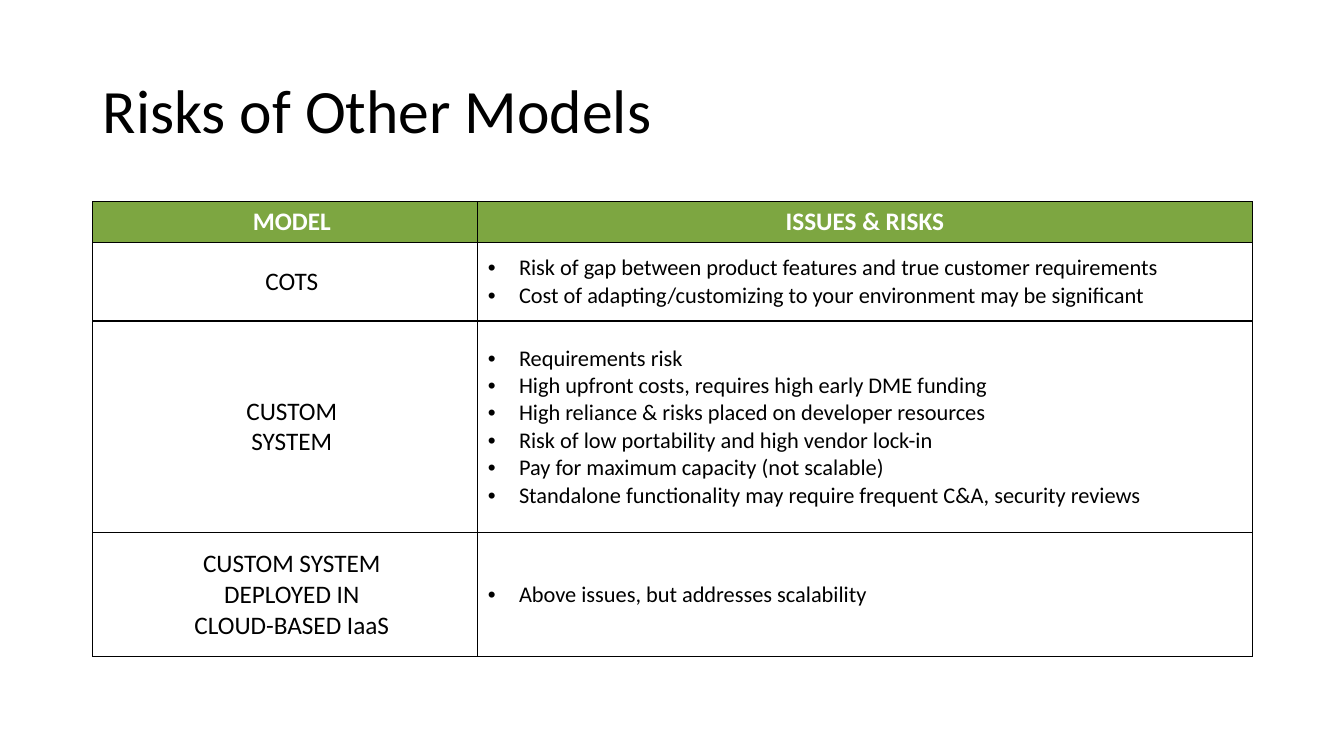
"""Build a slide with a table of the risks of other system models."""
from dataclasses import dataclass

from lxml.etree import SubElement
from pptx import Presentation
from pptx.dml.color import RGBColor
from pptx.enum.text import MSO_ANCHOR, MSO_AUTO_SIZE, PP_ALIGN
from pptx.oxml.ns import qn
from pptx.util import Inches, Pt

TITLE = "Risks of Other Models"
HEADERS = ("MODEL", "ISSUES & RISKS")
MODELS = [
    (["COTS"], [
        "Risk of gap between product features and true customer requirements",
        "Cost of adapting/customizing to your environment may be significant",
    ]),
    (["CUSTOM", "SYSTEM"], [
        "Requirements risk",
        "High upfront costs, requires high early DME funding",
        "High reliance & risks placed on developer resources",
        "Risk of low portability and high vendor lock-in",
        "Pay for maximum capacity (not scalable)",
        "Standalone functionality may require frequent C&A, security reviews",
    ]),
    (["CUSTOM SYSTEM\nDEPLOYED IN", "CLOUD-BASED IaaS"], [
        "Above issues, but addresses scalability",
    ]),
]

SLIDE_WIDTH, SLIDE_HEIGHT = 13.33, 7.5
MARGIN = 0.92
CONTENT_WIDTH = 11.5
TITLE_TOP, TITLE_HEIGHT = 0.4, 1.45
TABLE_TOP = 2
COLUMN_SHARES = (0.332, 0.668)
ROW_HEIGHTS = (0.4, 0.78, 2.1, 1.23)
MODEL_INDENT, BULLET_INDENT = 0.13, 0.31


@dataclass(frozen=True)
class Theme:
    font: str = "Calibri"
    text: str = "000000"
    header_text: str = "FFFFFF"
    header_fill: str = "7DA641"
    border: str = "000000"
    border_width: float = 1
    title_size: int = 44
    model_size: int = 18
    risk_size: int = 16


THEME = Theme()


def add_text(paragraph, text, size, color=THEME.text, bold=False):
    for index, line in enumerate(text.split("\n")):
        if index:
            paragraph.add_line_break()
        run = paragraph.add_run()
        run.text = line
        run.font.name = THEME.font
        run.font.size = Pt(size)
        run.font.bold = bold
        run.font.color.rgb = RGBColor.from_string(color)


def set_indent(paragraph, left, first_line=0):
    properties = paragraph._p.get_or_add_pPr()
    properties.set("marL", str(Inches(left)))
    properties.set("indent", str(Inches(first_line)))
    return properties


def format_model(paragraph):
    paragraph.alignment = PP_ALIGN.CENTER
    paragraph.level = 1
    set_indent(paragraph, MODEL_INDENT)


def format_risk(paragraph):
    paragraph.alignment = PP_ALIGN.LEFT
    properties = set_indent(paragraph, BULLET_INDENT, -BULLET_INDENT)
    SubElement(properties, qn("a:buFont"), typeface="Arial")
    SubElement(properties, qn("a:buChar"), char="•")


def format_header(paragraph):
    paragraph.alignment = PP_ALIGN.CENTER


def fill_cell(cell, lines, format_paragraph, size, **font):
    frame = cell.text_frame
    for index, line in enumerate(lines):
        paragraph = frame.add_paragraph() if index else frame.paragraphs[0]
        format_paragraph(paragraph)
        add_text(paragraph, line, size, **font)


def style_cell(cell, is_header):
    properties = cell._tc.get_or_add_tcPr()
    for side in ("lnL", "lnR", "lnT", "lnB"):
        line = SubElement(properties, qn(f"a:{side}"), w=str(Pt(THEME.border_width)))
        fill = SubElement(line, qn("a:solidFill"))
        SubElement(fill, qn("a:srgbClr"), val=THEME.border)
    if is_header:
        cell.fill.solid()
        cell.fill.fore_color.rgb = RGBColor.from_string(THEME.header_fill)
    else:
        cell.fill.background()
        cell.vertical_anchor = MSO_ANCHOR.MIDDLE


def add_title(slide):
    title = slide.shapes.title
    title.left, title.top = Inches(MARGIN), Inches(TITLE_TOP)
    title.width, title.height = Inches(CONTENT_WIDTH), Inches(TITLE_HEIGHT)
    frame = title.text_frame
    frame.auto_size = MSO_AUTO_SIZE.NONE
    frame.vertical_anchor = MSO_ANCHOR.MIDDLE
    paragraph = frame.paragraphs[0]
    paragraph.alignment = PP_ALIGN.LEFT
    paragraph.line_spacing = 0.9
    add_text(paragraph, TITLE, THEME.title_size)


def add_risk_table(slide):
    table = slide.shapes.add_table(
        len(ROW_HEIGHTS), len(COLUMN_SHARES), Inches(MARGIN), Inches(TABLE_TOP),
        Inches(CONTENT_WIDTH), Inches(sum(ROW_HEIGHTS))).table
    table.horz_banding = False
    for column, share in zip(table.columns, COLUMN_SHARES):
        column.width = Inches(CONTENT_WIDTH * share)
    for index, (row, height) in enumerate(zip(table.rows, ROW_HEIGHTS)):
        row.height = Inches(height)
        for cell in row.cells:
            style_cell(cell, is_header=index == 0)
    for column, (header, formatter) in enumerate(zip(HEADERS, (format_model, format_header))):
        fill_cell(table.cell(0, column), [header], formatter, THEME.model_size,
                  color=THEME.header_text, bold=True)
    for row, (model, risks) in enumerate(MODELS, start=1):
        fill_cell(table.cell(row, 0), model, format_model, THEME.model_size)
        fill_cell(table.cell(row, 1), risks, format_risk, THEME.risk_size)


def main():
    presentation = Presentation()
    presentation.slide_width = Inches(SLIDE_WIDTH)
    presentation.slide_height = Inches(SLIDE_HEIGHT)
    slide = presentation.slides.add_slide(presentation.slide_layouts.get_by_name("Title Only"))
    add_title(slide)
    add_risk_table(slide)
    presentation.save("out.pptx")


if __name__ == "__main__":
    main()
